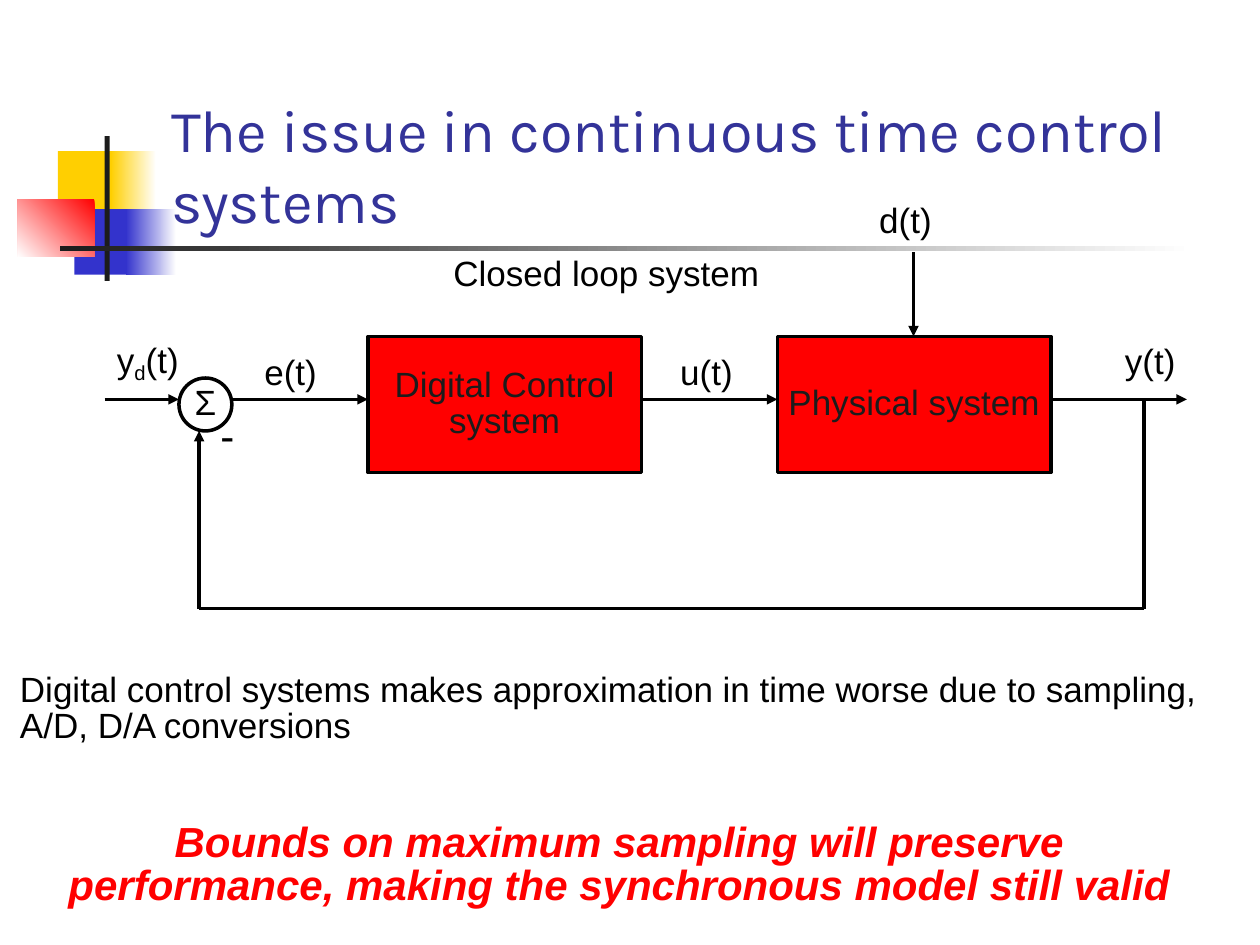
import pptx
import pptx.util
import pptx.dml.color
import pptx.enum.shapes
import pptx.enum.text
import pptx.oxml.ns
import lxml.etree

Inches = pptx.util.Inches
Pt = pptx.util.Pt
RGB = pptx.dml.color.RGBColor
KIND = pptx.enum.shapes.MSO_SHAPE
LINK = pptx.enum.shapes.MSO_CONNECTOR
ANCHOR = pptx.enum.text.MSO_ANCHOR
ALIGN = pptx.enum.text.PP_ALIGN
SIZE = pptx.enum.text.MSO_AUTO_SIZE
qn = pptx.oxml.ns.qn

BLACK = RGB(0, 0, 0)
WHITE = RGB(0xFF, 0xFF, 0xFF)
DARK = RGB(0x1C, 0x1C, 0x1C)
GOLD = RGB(0xFF, 0xCF, 0x01)
BLUE = RGB(0x33, 0x33, 0xCC)
NAVY = RGB(0x33, 0x33, 0x99)
RED = RGB(0xFF, 0, 0)


def put_shape(kind, box, fill=None, fade=None, turn=180):
    shape = slide.shapes.add_shape(kind, *map(Inches, box))
    shape.shadow.inherit = False
    shape.line.fill.background()
    if fade:
        shape.fill.gradient()
        shape.fill.gradient_angle = turn
        for stop, color in zip(shape.fill.gradient_stops, fade):
            stop.color.rgb = color
    elif fill:
        shape.fill.solid()
        shape.fill.fore_color.rgb = fill
    else:
        shape.fill.background()
    return shape


def put_text(shape, parts, look=None, frame=None, para=None):
    look = {"name": "Arial", "size": Pt(20), "color": BLACK, **(look or {})}
    frame = {"word_wrap": False, "auto_size": SIZE.NONE,
             "vertical_anchor": ANCHOR.TOP, **(frame or {})}
    para = {"alignment": ALIGN.LEFT, "line_spacing": 0.85, **(para or {})}
    for key, value in frame.items():
        setattr(shape.text_frame, key, value)
    line = shape.text_frame.paragraphs[0]
    for key, value in para.items():
        setattr(line, key, value)
    for part in parts:
        run = line.add_run()
        run.text = part
        for key, value in look.items():
            if key == "color":
                run.font.color.rgb = value
            else:
                setattr(run.font, key, value)
    return line


deck = pptx.Presentation()
deck.slide_width = Inches(10)
deck.slide_height = Inches(7.5)
slide = deck.slides.add_slide(deck.slide_layouts[6])

decor = [
    ((0.46, 1.2, 0.48, 0.52), {"fill": GOLD}),
    ((0.88, 1.2, 0.36, 0.52), {"fade": (WHITE, GOLD)}),
    ((0.59, 1.66, 0.46, 0.52), {"fill": BLUE}),
    ((1, 1.66, 0.4, 0.52), {"fade": (WHITE, BLUE)}),
    ((0.14, 1.58, 0.61, 0.46), {"fade": (RED, WHITE), "turn": 225}),
    ((0.83, 1.08, 0.04, 1.15), {"fill": DARK}),
    ((0.48, 1.95, 9, 0.04), {"fade": (WHITE, DARK)}),
]
for box, style in decor:
    put_shape(KIND.RECTANGLE, box, **style)

blocks = [
    (KIND.RECTANGLE, (2.92, 2.67, 2.17, 1.08), RED, DARK, "Digital Control system", True),
    (KIND.RECTANGLE, (6.17, 2.67, 2.17, 1.08), RED, DARK, "Physical system", False),
    (KIND.OVAL, (1.42, 3, 0.42, 0.42), None, BLACK, "Σ", False),
]
for kind, box, fill, ink, words, wrap in blocks:
    shape = put_shape(kind, box, fill)
    shape.line.color.rgb = BLACK
    shape.line.width = Pt(2)
    put_text(shape, [words], {"color": ink},
             {"vertical_anchor": ANCHOR.MIDDLE, "word_wrap": wrap},
             {"alignment": ALIGN.CENTER})

wires = [
    (0.83, 3.17, 1.42, 3.17, True),
    (1.83, 3.17, 2.92, 3.17, True),
    (5.08, 3.17, 6.17, 3.17, True),
    (8.33, 3.17, 9.42, 3.17, True),
    (7.25, 2, 7.25, 2.67, True),
    (9.08, 3.17, 9.08, 4.83, False),
    (9.08, 4.83, 1.58, 4.83, False),
    (1.58, 4.83, 1.58, 3.42, True),
]
for *ends, arrow in wires:
    wire = slide.shapes.add_connector(LINK.STRAIGHT, *map(Inches, ends))
    wire.line.color.rgb = BLACK
    wire.line.width = Pt(2)
    if arrow:
        lxml.etree.SubElement(wire.line._get_or_add_ln(), qn("a:tailEnd"), type="triangle")
    lxml.etree.SubElement(wire._element.spPr, qn("a:effectLst"))

fit = {"auto_size": SIZE.SHAPE_TO_FIT_TEXT}
wide = {"word_wrap": True}
labels = [
    ((0.83, 2.67, 0.7, 0.41), ["y", "d", "(t)"], {}, {}, {}),
    ((2, 2.78, 0.64, 0.39), ["e(t)"], {}, {}, {}),
    ((5.3, 2.78, 0.64, 0.39), ["u(t)"], {}, {}, {}),
    ((8.83, 2.7, 0.64, 0.39), ["y(t)"], {}, {}, {}),
    ((6.88, 1.58, 0.64, 0.39), ["d(t)"], {}, {}, {}),
    ((1.65, 3.26, 0.31, 0.44), ["-"], {"size": Pt(24)}, fit, {}),
    ((3.5, 2, 2.63, 0.39), ["Closed loop system"], {}, fit, {}),
    ((0.06, 5.3, 9.61, 0.78),
     ["Digital control systems makes approximation in time worse due to sampling, "
      "A/D, D/A conversions"], {}, wide, {}),
    ((0.25, 6.5, 9.33, 0.75),
     ["Bounds on maximum sampling will preserve performance, "
      "making the synchronous model still valid"],
     {"size": Pt(24), "color": RED, "bold": True, "italic": True},
     {**wide, "vertical_anchor": ANCHOR.MIDDLE}, {"alignment": ALIGN.CENTER}),
    ((1.26, 0.67, 8.52, 1.25), ["The issue in continuous time control systems"],
     {"name": "Karla", "size": Pt(34), "color": NAVY},
     {**wide, "vertical_anchor": ANCHOR.BOTTOM}, {"line_spacing": 1.0}),
]
for box, parts, look, frame, para in labels:
    label = slide.shapes.add_textbox(*map(Inches, box))
    line = put_text(label, parts, look, frame, para)
    if len(parts) == 3:
        line.runs[1].font._element.set("baseline", "-20000")

deck.save("out.pptx")
